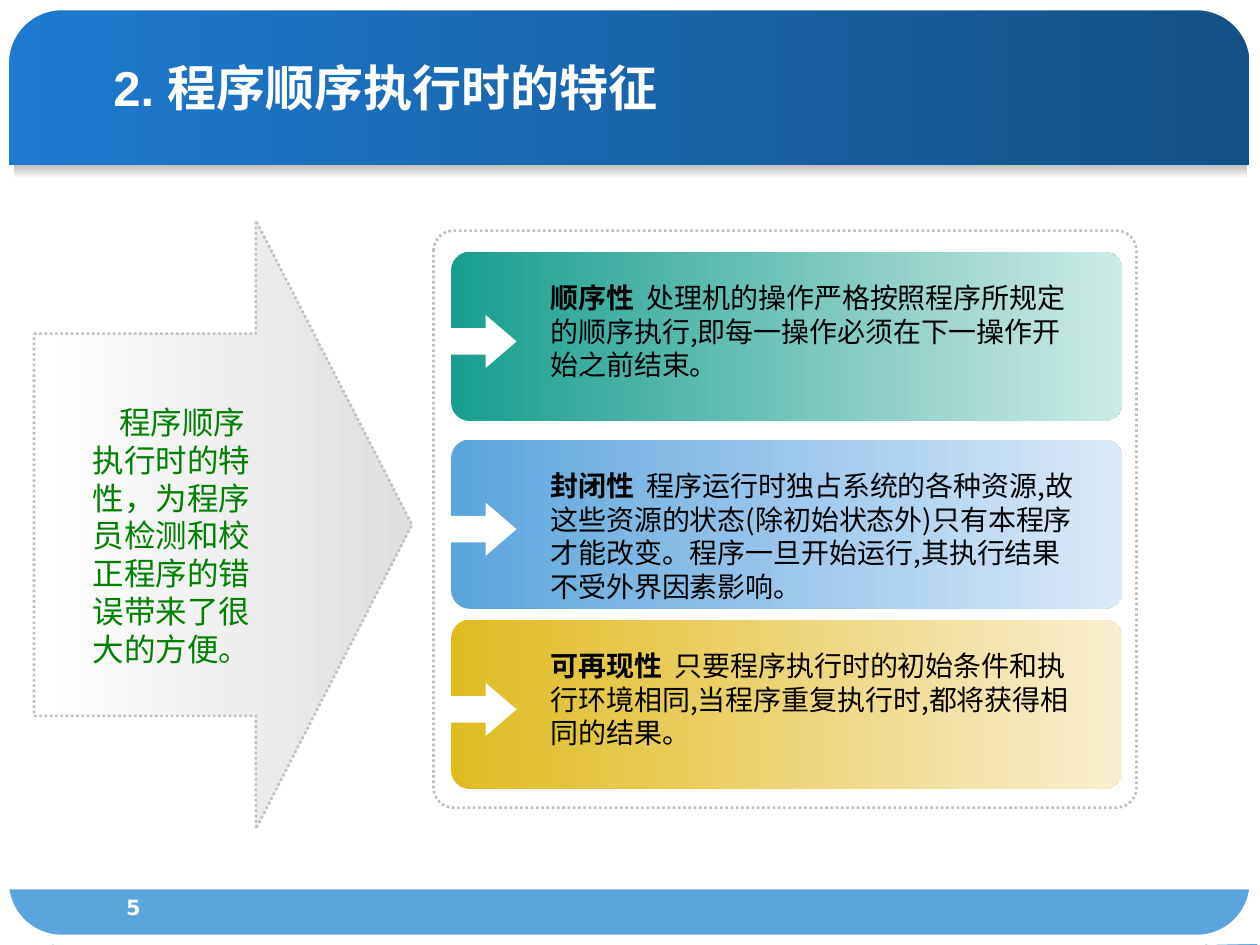
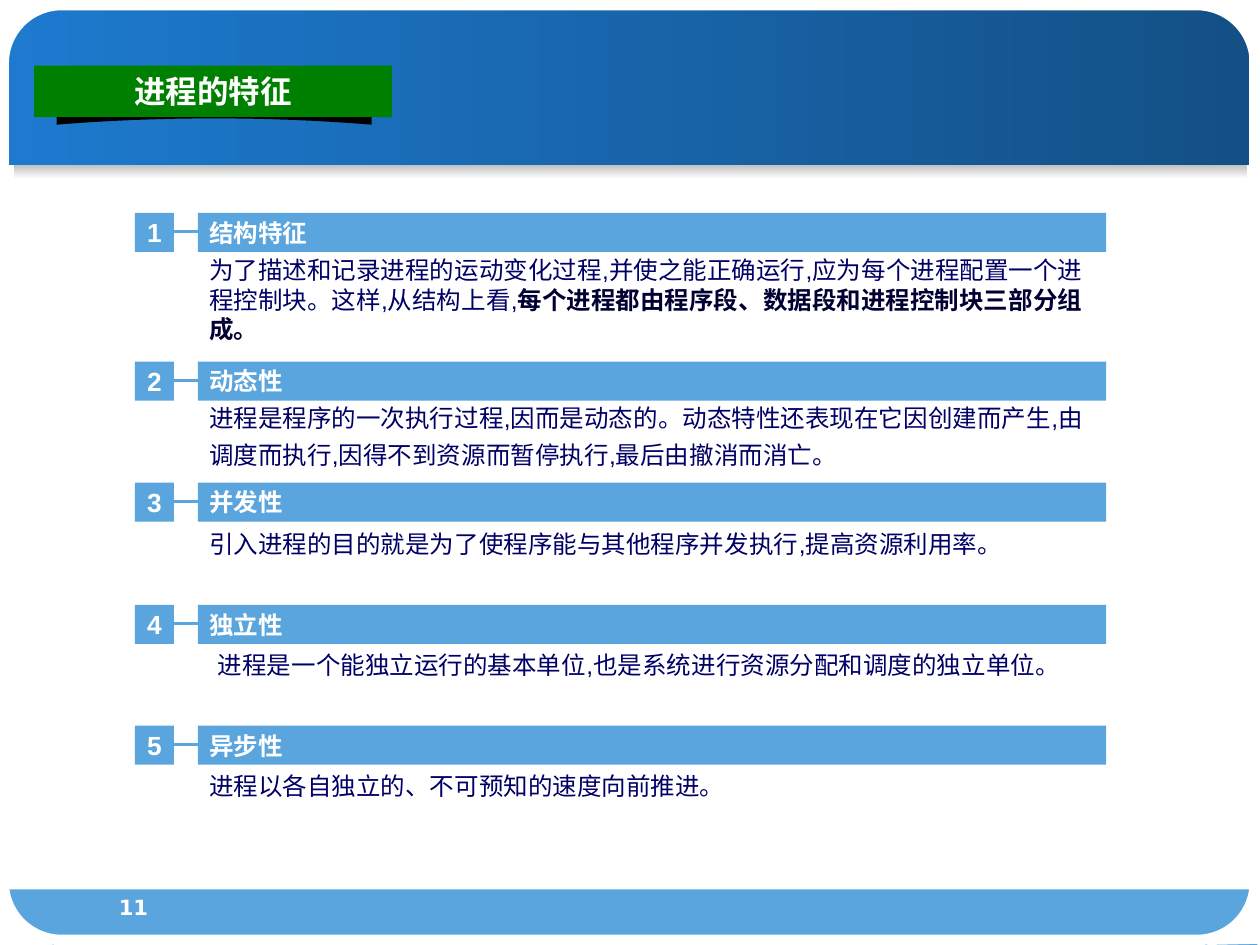
from lxml import etree
from pptx import Presentation
from pptx.dml.color import RGBColor
from pptx.enum.dml import MSO_LINE
from pptx.enum.shapes import MSO_CONNECTOR, MSO_SHAPE
from pptx.enum.text import MSO_ANCHOR, MSO_AUTO_SIZE, PP_ALIGN
from pptx.oxml.ns import qn
from pptx.util import Inches, Pt

# Colours
WHITE = RGBColor(0xFF, 0xFF, 0xFF)
BLACK = RGBColor(0x00, 0x00, 0x00)
GREY = RGBColor(0xC0, 0xC0, 0xC0)
PALE_GREY = RGBColor(0xDF, 0xDF, 0xDF)
BAND_LEFT = RGBColor(0x1D, 0x7A, 0xCF)
BAND_RIGHT = RGBColor(0x13, 0x50, 0x86)
SKY = RGBColor(0x5A, 0xA5, 0xDE)
PALE_SKY = RGBColor(0xDC, 0xEA, 0xF7)
TEAL = RGBColor(0x18, 0x9E, 0x8E)
PALE_TEAL = RGBColor(0xCD, 0xEB, 0xE6)
GOLD = RGBColor(0xE0, 0xBB, 0x20)
PALE_GOLD = RGBColor(0xF8, 0xEF, 0xCF)
GREEN = RGBColor(0x00, 0x80, 0x00)
NAVY = RGBColor(0x00, 0x00, 0x66)
DARK_NAVY = RGBColor(0x00, 0x00, 0x33)

# Fonts
LATIN = "Arial"
CHINESE = "Noto Sans CJK SC"
NUMBERS = "DejaVu Sans"

# White pieces that round off the four slide corners
CORNERS = [
    [(-0.01, 0.49), (0.13, 0.25), (0.27, 0.06), (0.48, 0), (-0.02, 0)],
    [(0.42, 7.5), (0.2, 7.33), (0.04, 7.17), (-0.01, 6.92), (-0.01, 7.5)],
    [(10, 6.99), (9.88, 7.24), (9.75, 7.43), (9.57, 7.5), (10.01, 7.49)],
    [(9.5, 0), (9.75, 0.14), (9.94, 0.29), (10, 0.5), (10, 0)],
]

# Cards: top, start colour, end colour, label, explanation
CARDS = [
    (2.0, TEAL, PALE_TEAL, "顺序性",
     "处理机的操作严格按照程序所规定的顺序执行,即每一操作必须在下一操作开始之前结束。"),
    (3.49, SKY, PALE_SKY, "封闭性",
     "程序运行时独占系统的各种资源,故这些资源的状态(除初始状态外)只有本程序才能改变。"
     "程序一旦开始运行,其执行结果不受外界因素影响。"),
    (4.92, GOLD, PALE_GOLD, "可再现性",
     "只要程序执行时的初始条件和执行环境相同,当程序重复执行时,都将获得相同的结果。"),
]

# Features: bar top, heading, (left, top, height) of the body, line spacing, body, bold ending
FEATURES = [
    (1.69, "结构特征", (1.66, 2.02, 0.71), 1,
     "为了描述和记录进程的运动变化过程,并使之能正确运行,应为每个进程配置一个进程控制块。"
     "这样,从结构上看,", "每个进程都由程序段、数据段和进程控制块三部分组成。"),
    (2.87, "动态性", (1.66, 3.17, 0.53), 1.25,
     "进程是程序的一次执行过程,因而是动态的。动态特性还表现在它因创建而产生,"
     "由调度而执行,因得不到资源而暂停执行,最后由撤消而消亡。", ""),
    (3.83, "并发性", (1.66, 4.2, 0.23), 1,
     "引入进程的目的就是为了使程序能与其他程序并发执行,提高资源利用率。", ""),
    (4.8, "独立性", (1.73, 5.16, 0.23), 1,
     "进程是一个能独立运行的基本单位,也是系统进行资源分配和调度的独立单位。", ""),
    (5.76, "异步性", (1.66, 6.12, 0.23), 1,
     "进程以各自独立的、不可预知的速度向前推进。", ""),
]


def box(left, top, width, height):
    return Inches(left), Inches(top), Inches(width), Inches(height)


def add_run(paragraph, text, size, color, bold=False, font=LATIN):
    run = paragraph.add_run()
    run.text = text
    run.font.size = Pt(size)
    run.font.bold = bold
    run.font.color.rgb = color
    run.font.name = font
    east_asian = etree.SubElement(run.font._element, qn("a:ea"))
    east_asian.set("typeface", CHINESE)


def set_gradient(shape, start, end, angle=0):
    shape.fill.gradient()
    shape.fill.gradient_angle = angle
    for stop, color in zip(shape.fill.gradient_stops, (start, end)):
        stop.color.rgb = color


def set_line(shape, color, width, dash=None):
    shape.line.color.rgb = color
    shape.line.width = Pt(width)
    if dash is not None:
        shape.line.dash_style = dash


def add_shape(slide, kind, place, fill=None, adjustments=()):
    shape = slide.shapes.add_shape(kind, *box(*place))
    shape.shadow.inherit = False
    shape.line.fill.background()
    if fill is None:
        shape.fill.background()
    elif isinstance(fill, RGBColor):
        shape.fill.solid()
        shape.fill.fore_color.rgb = fill
    else:
        set_gradient(shape, *fill)
    for index, value in enumerate(adjustments):
        shape.adjustments[index] = value
    return shape


def add_outline(slide, points, color):
    corners = [(Inches(x), Inches(y)) for x, y in points]
    builder = slide.shapes.build_freeform(*corners[0])
    builder.add_line_segments(corners[1:], close=True)
    shape = builder.convert_to_shape()
    shape.shadow.inherit = False
    shape.fill.solid()
    shape.fill.fore_color.rgb = color
    shape.line.fill.background()


def remove_margins(frame):
    frame.margin_left = frame.margin_right = frame.margin_top = frame.margin_bottom = 0


def add_text(slide, place, tight=False):
    """Add a wrapping text box and return its first paragraph."""
    frame = slide.shapes.add_textbox(*box(*place)).text_frame
    frame.word_wrap = True
    if tight:
        remove_margins(frame)
        frame.vertical_anchor = MSO_ANCHOR.MIDDLE
    return frame.paragraphs[0]


def add_connector(slide, start, end, color, width):
    connector = slide.shapes.add_connector(
        MSO_CONNECTOR.STRAIGHT, *(Inches(value) for value in start + end))
    set_line(connector, color, width)
    etree.SubElement(connector.element.spPr, qn("a:effectLst"))


def set_title(slide, place, text, size, alignment):
    title = slide.shapes.title
    title.left, title.top, title.width, title.height = box(*place)
    frame = title.text_frame
    frame.auto_size = MSO_AUTO_SIZE.NONE
    frame.vertical_anchor = MSO_ANCHOR.MIDDLE
    paragraph = frame.paragraphs[0]
    paragraph.alignment = alignment
    add_run(paragraph, text, size, WHITE, bold=True)
    return title


def draw_backdrop(slide):
    """Draw bands, frame and corners once and move them to the slide's layout."""
    layout = slide.slide_layout
    for placeholder in list(layout.placeholders)[1:]:
        placeholder.element.getparent().remove(placeholder.element)
    add_shape(slide, MSO_SHAPE.RECTANGLE, (0, 0.01, 9.91, 1.3), (BAND_LEFT, BAND_RIGHT))
    add_shape(slide, MSO_SHAPE.RECTANGLE, (0, 7.06, 9.98, 0.44), SKY)
    add_shape(slide, MSO_SHAPE.RECTANGLE, (0.11, 1.31, 9.79, 0.11), (GREY, WHITE, 270))
    frame = add_shape(slide, MSO_SHAPE.ROUNDED_RECTANGLE, (0.03, 0.04, 9.93, 7.42),
                      adjustments=[0.062])
    set_line(frame, WHITE, 6)
    for points in CORNERS:
        add_outline(slide, points, WHITE)
    for shape in list(slide.shapes):
        if not shape.is_placeholder:
            layout.shapes.element.append(shape.element)


def add_page_number(slide, number):
    paragraph = add_text(slide, (0.56, 7.05, 1, 0.35))
    paragraph.alignment = PP_ALIGN.CENTER
    add_run(paragraph, number, 12, WHITE, bold=True, font=NUMBERS)


def add_card(slide, top, start, end, label, explanation):
    add_shape(slide, MSO_SHAPE.ROUNDED_RECTANGLE, (3.58, top, 5.33, 1.34),
              (start, end), [0.109])
    add_shape(slide, MSO_SHAPE.RIGHT_ARROW, (3.52, top + 0.5, 0.58, 0.42),
              WHITE, [0.5, 0.583])
    paragraph = add_text(slide, (4.27, top + 0.18, 4.41, 0.9))
    add_run(paragraph, label + "  ", 16, BLACK, bold=True)
    add_run(paragraph, explanation, 16, BLACK, font=CHINESE)


def add_feature(slide, number, top, heading, body_place, spacing, body, ending):
    # Number square joined to the heading bar
    add_connector(slide, (1.24, top + 0.15), (8.76, top + 0.15), SKY, 1.75)
    square = add_shape(slide, MSO_SHAPE.RECTANGLE, (1.07, top, 0.31, 0.31), SKY)
    frame = square.text_frame
    remove_margins(frame)
    frame.word_wrap = False
    frame.vertical_anchor = MSO_ANCHOR.MIDDLE
    frame.paragraphs[0].alignment = PP_ALIGN.CENTER
    add_run(frame.paragraphs[0], str(number), 15, WHITE, bold=True)
    add_shape(slide, MSO_SHAPE.RECTANGLE, (1.57, top, 7.21, 0.31), SKY)
    add_run(add_text(slide, (1.66, top + 0.04, 7.03, 0.23), tight=True),
            heading, 14, WHITE, bold=True)

    # Body
    left, body_top, height = body_place
    paragraph = add_text(slide, (left, body_top, 7.03, height), tight=True)
    paragraph.line_spacing = spacing
    add_run(paragraph, body, 14, NAVY)
    if ending:
        add_run(paragraph, ending, 14, DARK_NAVY, bold=True)


def build_sequential_slide(slide):
    title = set_title(slide, (0.33, 0.38, 9.08, 0.62), "2. 程序顺序执行时的特征",
                      28, PP_ALIGN.LEFT)
    title.text_frame.margin_left = Inches(0.57)
    add_page_number(slide, "5")

    # Summary arrow
    arrow = add_shape(slide, MSO_SHAPE.RIGHT_ARROW, (0.27, 1.75, 3, 4.83),
                      (WHITE, PALE_GREY), [0.628, 0.413])
    set_line(arrow, GREY, 1.5, MSO_LINE.ROUND_DOT)
    summary = add_text(slide, (0.51, 3.15, 1.73, 2.2))
    properties = summary._p.get_or_add_pPr()
    properties.set("marL", str(Inches(0.13)))
    properties.set("indent", str(Inches(0.21)))
    add_run(summary, "程序顺序执行时的特性，为程序员检测和校正程序的错误带来了很大的方便。",
            18, GREEN)

    # Framed cards
    frame = add_shape(slide, MSO_SHAPE.ROUNDED_RECTANGLE, (3.44, 1.83, 5.58, 4.58),
                      adjustments=[0.035])
    set_line(frame, GREY, 1.5, MSO_LINE.ROUND_DOT)
    for card in CARDS:
        add_card(slide, *card)


def build_process_slide(slide):
    # Green title banner with a curved shadow below it
    banner = set_title(slide, (0.27, 0.52, 2.84, 0.41), "进程的特征", 18, PP_ALIGN.CENTER)
    banner.fill.solid()
    banner.fill.fore_color.rgb = GREEN
    steps = [step / 8 for step in range(-8, 9)]
    curve = [(1.7 + 1.25 * step, 0.94 + 0.05 * step ** 2) for step in steps]
    add_outline(slide, [(0.45, 0.93)] + curve + [(2.95, 0.93)], BLACK)
    add_page_number(slide, "11")

    for number, feature in enumerate(FEATURES, start=1):
        add_feature(slide, number, *feature)


def main():
    presentation = Presentation()
    presentation.slide_width = Inches(10)
    presentation.slide_height = Inches(7.5)
    layout = presentation.slide_layouts[5]
    sequential = presentation.slides.add_slide(layout)
    draw_backdrop(sequential)
    build_sequential_slide(sequential)
    build_process_slide(presentation.slides.add_slide(layout))
    presentation.save("out.pptx")


if __name__ == "__main__":
    main()
